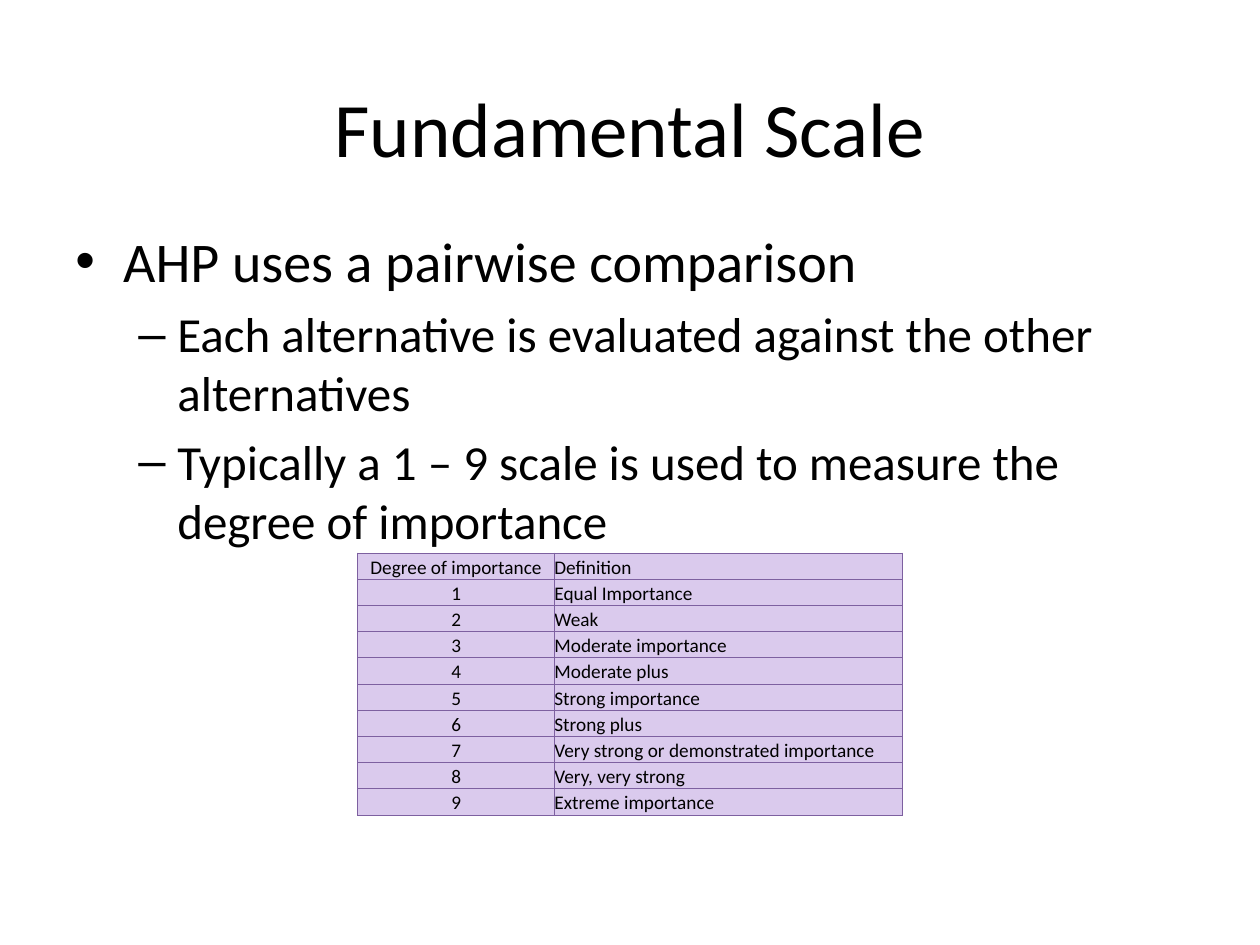
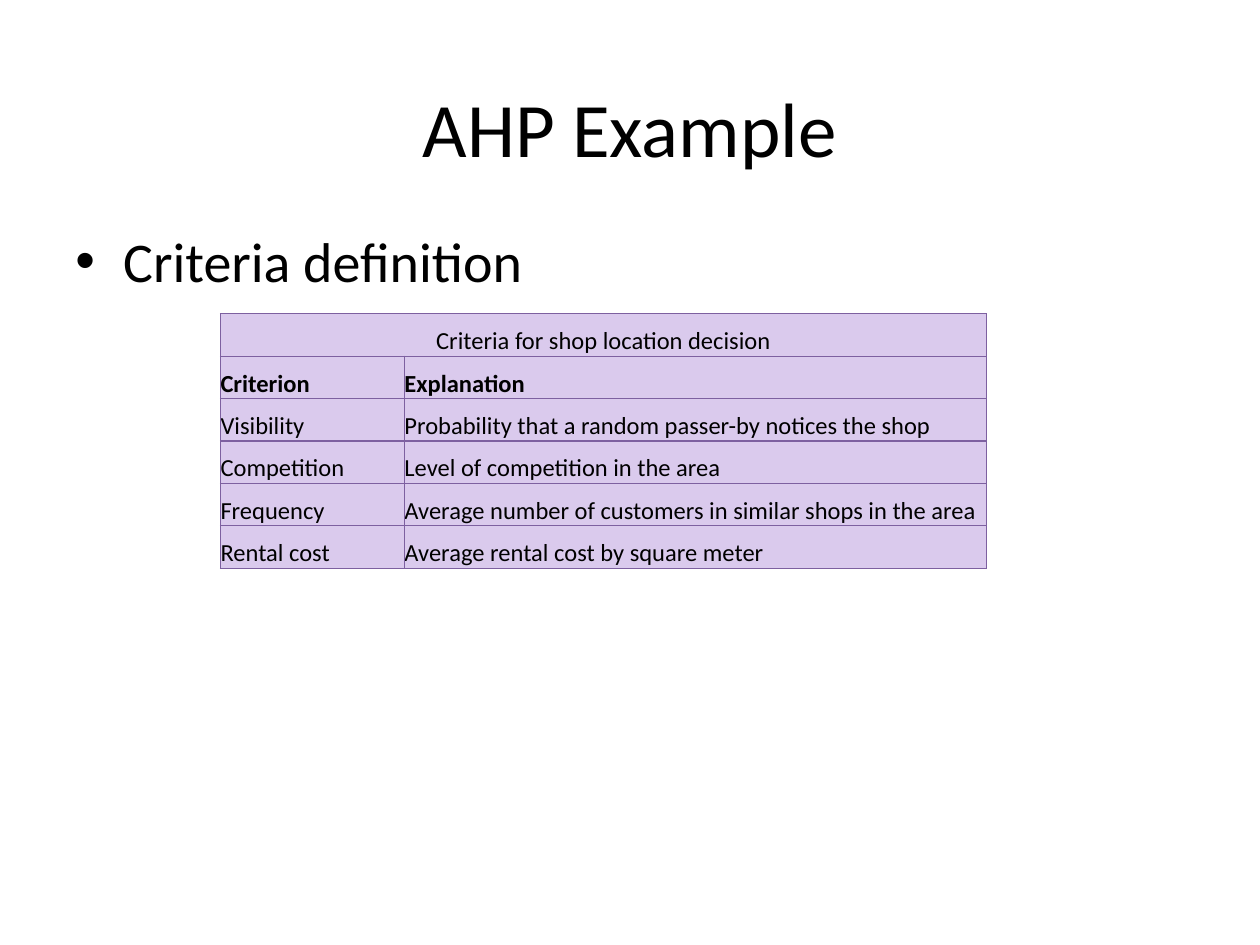
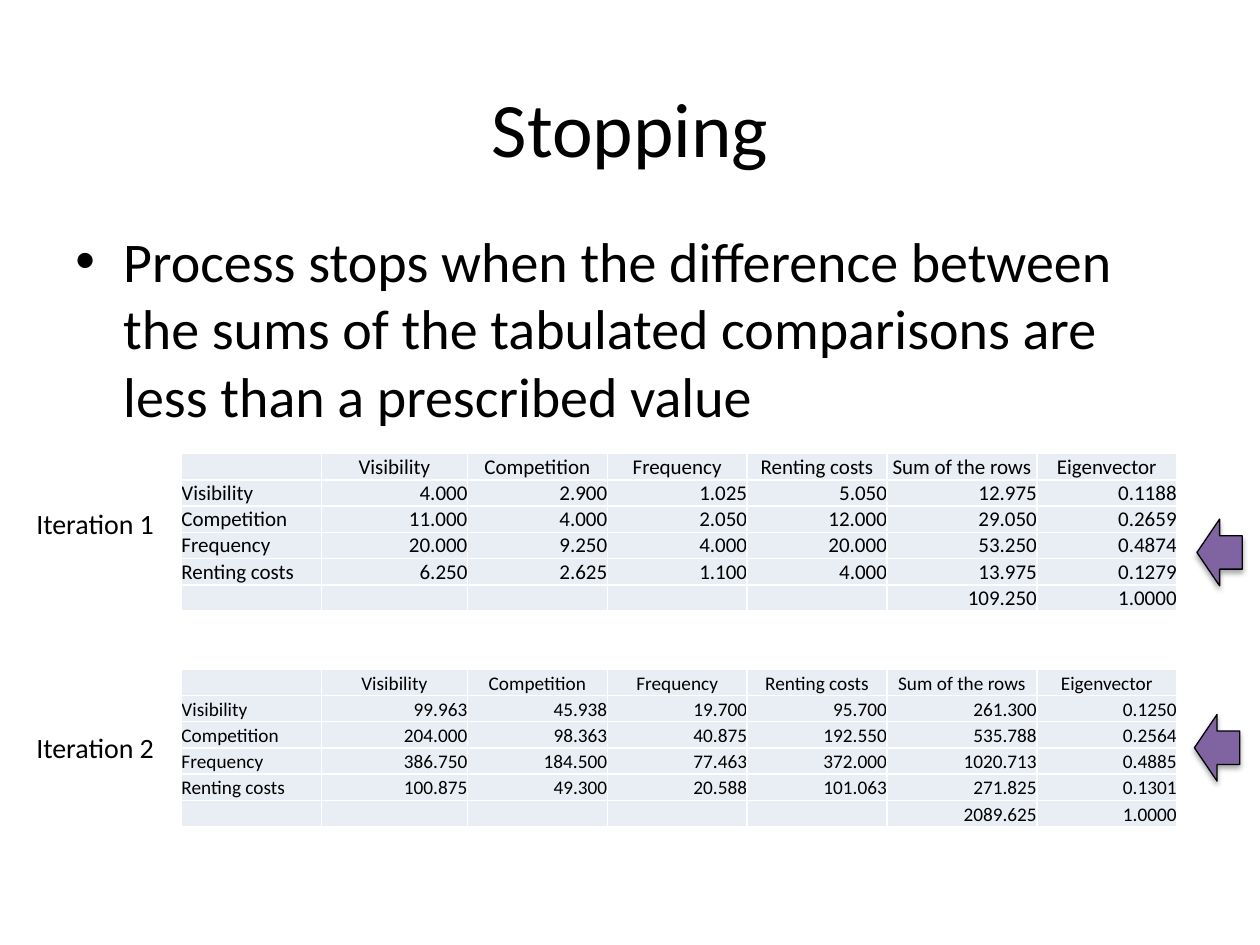
"""Build three slides on the analytic hierarchy process."""
from dataclasses import dataclass

from lxml.etree import SubElement
from pptx import Presentation
from pptx.dml.color import RGBColor as Rgb
from pptx.enum.shapes import MSO_SHAPE as Preset
from pptx.enum.text import MSO_ANCHOR as Anchor, PP_ALIGN as Align
from pptx.oxml.ns import qn
from pptx.util import Emu, Pt

EMU_PER_PX = 9144
ALIGNS = {"l": Align.LEFT, "c": Align.CENTER, "r": Align.RIGHT}


@dataclass(frozen=True)
class Theme:
    """Fonts, type sizes in points and colours shared by the deck."""
    font: str = "Calibri"
    title: int = 44
    label: int = 16
    text: str = "000000"
    arrow: str = "8064A2"
    lilac: str = "DACAED"
    lilac_rule: str = "7D60A0"
    mist: str = "E9EDF4"
    mist_rule: str = "FFFFFF"


@dataclass(frozen=True)
class Box:
    """A rectangle in px."""
    left: int
    top: int
    width: int
    height: int

    def emu(self) -> tuple[Emu, ...]:
        """Return left, top, width and height in EMU."""
        return tuple(px(n) for n in (self.left, self.top, self.width, self.height))


@dataclass(frozen=True)
class Level:
    """The look of one bullet level."""
    mark: str
    size: int
    margin: int
    hang: int


@dataclass(frozen=True)
class Grid:
    """The place, look and alignment of a table."""
    box: Box
    columns: tuple[int, ...]
    size: int
    fill: str
    rule: str
    rule_width: float
    head_aligns: str
    body_aligns: str
    bold_row: int = -1
    merge_head: bool = False


THEME = Theme()
TITLE_BOX = Box(50, 38, 900, 125)
BODY_BOX = Box(50, 175, 900, 495)
LEVELS = (Level("•", 32, 38, 38), Level("–", 28, 81, 31))

SCALE_ROWS = (
    ("Degree of importance", "Definition"),
    ("1", "Equal Importance"),
    ("2", "Weak"),
    ("3", "Moderate importance"),
    ("4", "Moderate plus"),
    ("5", "Strong importance"),
    ("6", "Strong plus"),
    ("7", "Very strong or demonstrated importance"),
    ("8", "Very, very strong"),
    ("9", "Extreme importance"),
)
CRITERIA_ROWS = (
    ("Criteria for shop location decision", ""),
    ("Criterion", "Explanation"),
    ("Visibility", "Probability that a random passer-by notices the shop"),
    ("Competition", "Level of competition in the area"),
    ("Frequency", "Average number of customers in similar shops in the area"),
    ("Rental cost", "Average rental cost by square meter"),
)
CRITERIA = ("Visibility", "Competition", "Frequency", "Renting costs")
ITERATION_HEAD = ("", *CRITERIA, "Sum of the rows", "Eigenvector")
FIRST_VALUES = (
    ("4.000", "2.900", "1.025", "5.050", "12.975", "0.1188"),
    ("11.000", "4.000", "2.050", "12.000", "29.050", "0.2659"),
    ("20.000", "9.250", "4.000", "20.000", "53.250", "0.4874"),
    ("6.250", "2.625", "1.100", "4.000", "13.975", "0.1279"),
    ("", "", "", "", "109.250", "1.0000"),
)
SECOND_VALUES = (
    ("99.963", "45.938", "19.700", "95.700", "261.300", "0.1250"),
    ("204.000", "98.363", "40.875", "192.550", "535.788", "0.2564"),
    ("386.750", "184.500", "77.463", "372.000", "1020.713", "0.4885"),
    ("100.875", "49.300", "20.588", "101.063", "271.825", "0.1301"),
    ("", "", "", "", "2089.625", "1.0000"),
)


@dataclass(frozen=True)
class Iteration:
    """One labelled iteration table with its arrow."""
    label: str
    label_top: int
    table_top: int
    size: int
    arrow_left: int
    arrow_top: int
    values: tuple[tuple[str, ...], ...]


ITERATIONS = (
    Iteration("Iteration 1", 397, 360, 12, 950, 412, FIRST_VALUES),
    Iteration("Iteration 2", 575, 531, 11, 948, 567, SECOND_VALUES),
)


def px(count: int) -> Emu:
    """Turn px into EMU."""
    return Emu(count * EMU_PER_PX)


def add_span(para, text: str, size: int, bold: bool = False) -> None:
    """Add one run in the deck font."""
    span = para.add_run()
    span.text = text
    span.font.name = THEME.font
    span.font.size = Pt(size)
    span.font.bold = bold
    span.font.color.rgb = Rgb.from_string(THEME.text)


def add_page(deck, title: str):
    """Add a title-only slide with its title placed."""
    page = deck.slides.add_slide(deck.slide_layouts[5])
    holder = page.shapes.title
    holder.left, holder.top, holder.width, holder.height = TITLE_BOX.emu()
    holder.text_frame.vertical_anchor = Anchor.MIDDLE
    para = holder.text_frame.paragraphs[0]
    para.alignment = Align.CENTER
    add_span(para, title, THEME.title)
    return page


def add_bullets(page, items: tuple[tuple[int, str], ...]) -> None:
    """Add the bulleted body from pairs of level and text."""
    frame = page.shapes.add_textbox(*BODY_BOX.emu()).text_frame
    frame.word_wrap = True
    for index, (depth, text) in enumerate(items):
        para = frame.add_paragraph() if index else frame.paragraphs[0]
        level = LEVELS[depth]
        para.level = depth
        properties = para._p.get_or_add_pPr()
        properties.set("marL", str(px(level.margin)))
        properties.set("indent", str(-px(level.hang)))
        if index:
            para.space_before = Pt(level.size / 5)
        SubElement(properties, qn("a:buFont"), typeface="Arial")
        SubElement(properties, qn("a:buChar"), char=level.mark)
        add_span(para, text, level.size)


def format_cell(cell, text: str, align: str, bold: bool, grid: Grid) -> None:
    """Fill, rule and write one table cell."""
    cell.margin_left = cell.margin_right = cell.margin_top = cell.margin_bottom = 0
    cell.vertical_anchor = Anchor.BOTTOM
    for side in ("lnL", "lnR", "lnT", "lnB"):
        line = SubElement(cell._tc.get_or_add_tcPr(), qn(f"a:{side}"), w=str(Pt(grid.rule_width)))
        SubElement(SubElement(line, qn("a:solidFill")), qn("a:srgbClr"), val=grid.rule)
    cell.fill.solid()
    cell.fill.fore_color.rgb = Rgb.from_string(grid.fill)
    para = cell.text_frame.paragraphs[0]
    para.alignment = ALIGNS[align]
    if text:
        add_span(para, text, grid.size, bold)
    else:
        SubElement(para._p, qn("a:endParaRPr"), sz=str(grid.size * 100))


def add_grid(page, grid: Grid, rows: tuple[tuple[str, ...], ...]) -> None:
    """Add a table with equal row heights."""
    table = page.shapes.add_table(len(rows), len(grid.columns), *grid.box.emu()).table
    table.first_row = table.horz_banding = False
    for column, width in zip(table.columns, grid.columns):
        column.width = px(width)
    for index, texts in enumerate(rows):
        table.rows[index].height = Emu(px(grid.box.height) // len(rows))
        aligns = grid.body_aligns if index else grid.head_aligns
        for place, (text, align) in enumerate(zip(texts, aligns)):
            format_cell(table.cell(index, place), text, align, index == grid.bold_row, grid)
    if grid.merge_head:
        table.cell(0, 0).merge(table.cell(0, len(grid.columns) - 1))


def add_label(page, box: Box, text: str) -> None:
    """Add a one-line label."""
    frame = page.shapes.add_textbox(*box.emu()).text_frame
    frame.word_wrap = True
    add_span(frame.paragraphs[0], text, THEME.label)


def add_arrow(page, box: Box) -> None:
    """Add a left arrow with a soft shadow below."""
    arrow = page.shapes.add_shape(Preset.LEFT_ARROW, *box.emu())
    arrow.fill.solid()
    arrow.fill.fore_color.rgb = Rgb.from_string(THEME.arrow)
    arrow.line.color.rgb = Rgb.from_string(THEME.text)
    arrow.line.width = Pt(0.75)
    arrow.shadow.inherit = False
    effects = arrow._element.spPr.find(qn("a:effectLst"))
    shadow = SubElement(effects, qn("a:outerShdw"), blurRad=str(Pt(3.1)), dist=str(Pt(1.8)),
                        dir="5400000", rotWithShape="0")
    color = SubElement(shadow, qn("a:srgbClr"), val=THEME.text)
    SubElement(color, qn("a:alpha"), val="35000")


def add_iteration(page, step: Iteration) -> None:
    """Add the table, label and arrow of one iteration."""
    grid = Grid(Box(144, step.table_top, 792, 125), (111, 116, 111, 111, 111, 119, 111),
                step.size, THEME.mist, THEME.mist_rule, 1, "lcccccc", "lrrrrrr")
    body = ((name, *values) for name, values in zip((*CRITERIA, ""), step.values))
    add_grid(page, grid, (ITERATION_HEAD, *body))
    add_label(page, Box(19, step.label_top, 124, 37), step.label)
    add_arrow(page, Box(step.arrow_left, step.arrow_top, 36, 53))


def main() -> None:
    """Build and save the deck."""
    deck = Presentation()
    deck.slide_width, deck.slide_height = px(1000), px(750)

    page = add_page(deck, "Fundamental Scale")
    add_bullets(page, (
        (0, "AHP uses a pairwise comparison"),
        (1, "Each alternative is evaluated against the other alternatives"),
        (1, "Typically a 1 – 9 scale is used to measure the degree of importance"),
    ))
    add_grid(page, Grid(Box(284, 439, 432, 208), (156, 276), 11, THEME.lilac,
                        THEME.lilac_rule, 0.75, "cl", "cl"), SCALE_ROWS)

    page = add_page(deck, "AHP Example")
    add_bullets(page, ((0, "Criteria definition"),))
    add_grid(page, Grid(Box(175, 249, 608, 202), (146, 462), 14, THEME.lilac,
                        THEME.lilac_rule, 0.75, "cl", "ll", 1, True), CRITERIA_ROWS)

    page = add_page(deck, "Stopping")
    add_bullets(page, ((0, "Process stops when the difference between the sums of the "
                           "tabulated comparisons are less than a prescribed value"),))
    for step in ITERATIONS:
        add_iteration(page, step)

    deck.save("out.pptx")


if __name__ == "__main__":
    main()
